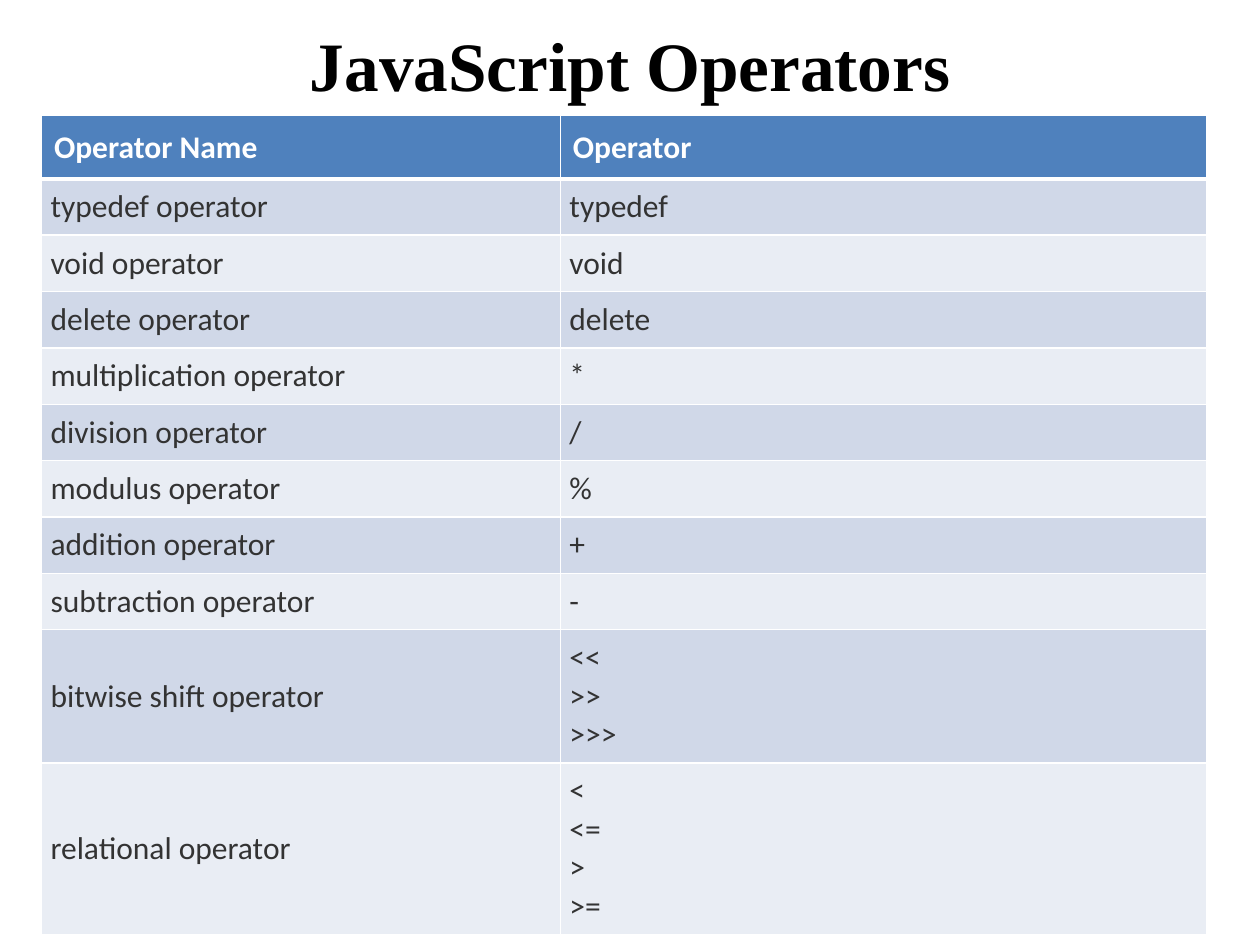
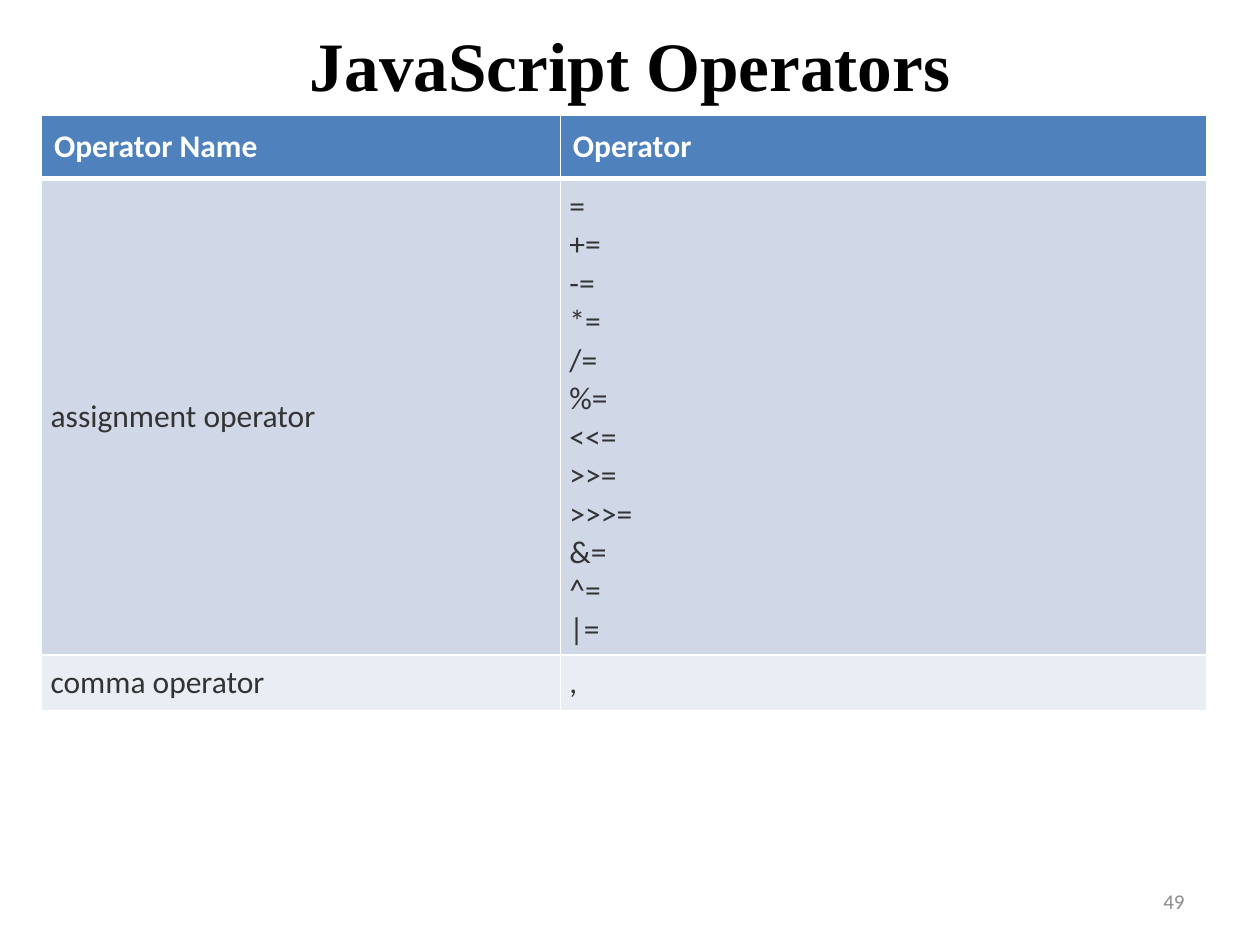
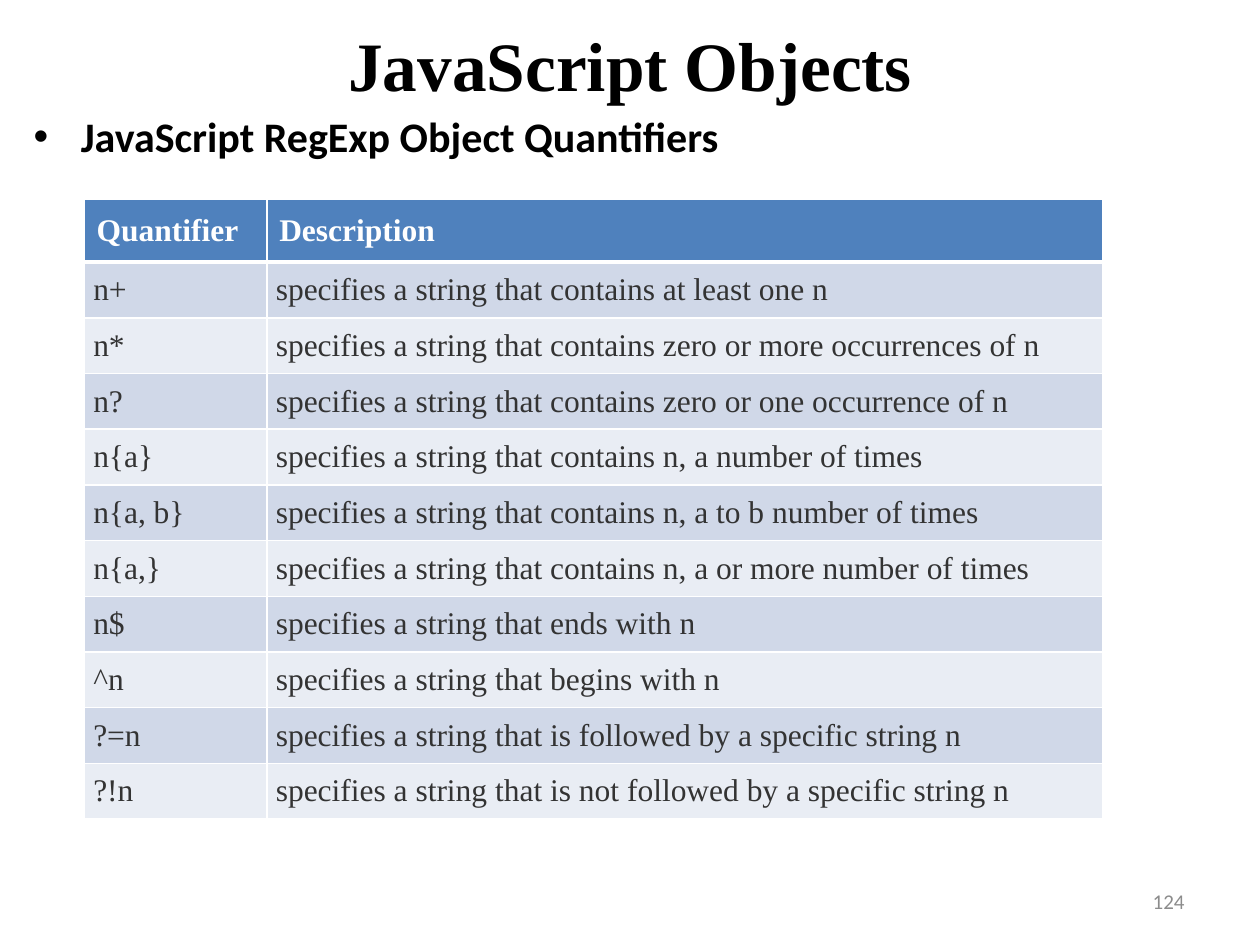
from lxml import etree
from pptx import Presentation
from pptx.dml.color import RGBColor
from pptx.enum.text import MSO_ANCHOR, MSO_AUTO_SIZE, PP_ALIGN
from pptx.oxml.ns import qn
from pptx.util import Cm, Pt

MIDDLE, TOP = MSO_ANCHOR.MIDDLE, MSO_ANCHOR.TOP
LEFT, CENTER, RIGHT = PP_ALIGN.LEFT, PP_ALIGN.CENTER, PP_ALIGN.RIGHT
NO_FIT = MSO_AUTO_SIZE.NONE

# Content: a list in a cell is shown one entry per line
OPERATOR_HEADS = ("Operator Name", "Operator")
OPERATOR_TABLE = {"font": "Calibri", "at": (0.84, 2.33), "columns": (10.46, 13.03)}
SLIDES = [
    {
        "title": "JavaScript Operators",
        "table": OPERATOR_TABLE,
        "rows": [
            OPERATOR_HEADS,
            ("typedef operator", "typedef"),
            ("void operator", "void"),
            ("delete operator", "delete"),
            ("multiplication operator", "*"),
            ("division operator", "/"),
            ("modulus operator", "%"),
            ("addition operator", "+"),
            ("subtraction operator", "-"),
            ("bitwise shift operator", ["<<", ">>", ">>>"]),
            ("relational operator", ["<", "<=", ">", ">="]),
        ],
    },
    {
        "title": "JavaScript Operators",
        "page": "49",
        "table": OPERATOR_TABLE,
        "rows": [
            OPERATOR_HEADS,
            ("assignment operator",
             ["=", "+=", "-=", "*=", "/=", "%=",
              "<<=", ">>=", ">>>=", "&=", "^=", "|="]),
            ("comma operator", ","),
        ],
    },
    {
        "title": "JavaScript Objects",
        "topic": "JavaScript RegExp Object Quantifiers",
        "page": "124",
        "table": {"font": "Times New Roman", "at": (1.7, 4.02), "columns": (3.68, 16.86)},
        "rows": [
            ("Quantifier", "Description"),
            ("n+", "specifies a string that contains at least one n"),
            ("n*", "specifies a string that contains zero or more occurrences of n"),
            ("n?", "specifies a string that contains zero or one occurrence of n"),
            ("n{a}", "specifies a string that contains n, a number of times"),
            ("n{a, b}", "specifies a string that contains n, a to b number of times"),
            ("n{a,}", "specifies a string that contains n, a or more number of times"),
            ("n$", "specifies a string that ends with n"),
            ("^n", "specifies a string that begins with n"),
            ("?=n", "specifies a string that is followed by a specific string n"),
            ("?!n", "specifies a string that is not followed by a specific string n"),
        ],
    },
]

# Shared look
COLORS = {
    "black": "000000", "white": "FFFFFF", "text": "333333", "page": "8C8C8C",
    "head": "4F81BD", "odd": "D0D8E8", "even": "E9EDF4",
}
TITLE_FONT = {"name": "Times New Roman", "size": Pt(39.6), "bold": True}
TOPIC_FONT = {"name": "Calibri", "size": Pt(24), "bold": True}
PAGE_FONT = {"name": "Calibri", "size": Pt(12)}
TITLE_AREA = (0.64, 0.43, 24.13, 1.7)
TOPIC_AREA = (0.43, 2.11, 24.56, 16.31)
PAGE_AREA = (18.21, 17.65, 5.92, 1.02)
LINE_HEIGHT = {"Calibri": 0.77, "Times New Roman": 0.71}
HEAD_INSET, BODY_INSET = 0.25, 0.18
THIN, THICK = Pt(1), Pt(3)


def set_all(target, values):
    for name, value in values.items():
        setattr(target, name, value)


def write(frame, text, font, color, align, anchor):
    set_all(frame, {"text": text, "vertical_anchor": anchor, "word_wrap": True})
    paragraph = frame.paragraphs[0]
    paragraph.alignment = align
    for run in paragraph.runs:
        set_all(run.font, font)
        run.font.color.rgb = RGBColor.from_string(COLORS[color])
    return paragraph


def add_title(slide, text):
    title = slide.shapes.title
    set_all(title, dict(zip(("left", "top", "width", "height"), map(Cm, TITLE_AREA))))
    write(title.text_frame, text, TITLE_FONT, "black", CENTER, MIDDLE)
    title.text_frame.auto_size = NO_FIT


def add_text(slide, area, *style):
    box = slide.shapes.add_textbox(*map(Cm, area))
    return write(box.text_frame, *style)


def add_bullet(paragraph):
    properties = paragraph._p.get_or_add_pPr()
    properties.set("marL", str(Cm(0.95)))
    properties.set("indent", str(-Cm(0.95)))
    etree.SubElement(properties, qn("a:buFont"), typeface="Arial")
    etree.SubElement(properties, qn("a:buChar"), char="•")


def set_borders(cell, top, bottom):
    properties = cell._tc.get_or_add_tcPr()
    for side, width in (("L", THIN), ("R", THIN), ("T", top), ("B", bottom)):
        line = etree.SubElement(properties, qn(f"a:ln{side}"), w=str(width))
        fill = etree.SubElement(line, qn("a:solidFill"))
        etree.SubElement(fill, qn("a:srgbClr"), val=COLORS["white"])


def add_table(slide, rows, font, at, columns):
    lines = [[entry if isinstance(entry, list) else [entry] for entry in row] for row in rows]
    insets = [HEAD_INSET] + [BODY_INSET] * (len(rows) - 1)
    heights = [2 * inset + max(map(len, row)) * LINE_HEIGHT[font]
               for inset, row in zip(insets, lines)]
    table = slide.shapes.add_table(
        len(rows), len(columns), *map(Cm, (*at, sum(columns), sum(heights)))).table
    for column, width in zip(table.columns, columns):
        column.width = Cm(width)

    for r, row in enumerate(lines):
        table.rows[r].height = Cm(heights[r])
        is_head = r == 0
        band = "head" if is_head else "odd" if r % 2 else "even"
        for c, entry in enumerate(row):
            cell = table.cell(r, c)
            margin = Cm(insets[r])
            set_all(cell, {f"margin_{side}": margin
                           for side in ("left", "top", "right", "bottom")})
            cell_font = {"name": font, "size": Pt(18), "bold": is_head}
            write(cell.text_frame, "\v".join(entry), cell_font,
                  "white" if is_head else "text", LEFT, TOP)
            cell.vertical_anchor = MIDDLE
            set_borders(cell, THICK if r == 1 else THIN, THICK if is_head else THIN)
            cell.fill.solid()
            cell.fill.fore_color.rgb = RGBColor.from_string(COLORS[band])


def main():
    deck = Presentation()
    deck.slide_width, deck.slide_height = Cm(25.4), Cm(19.05)
    title_only = deck.slide_layouts[5]
    for content in SLIDES:
        slide = deck.slides.add_slide(title_only)
        add_title(slide, content["title"])
        if "topic" in content:
            add_bullet(add_text(slide, TOPIC_AREA, content["topic"],
                                TOPIC_FONT, "black", LEFT, TOP))
        if "page" in content:
            add_text(slide, PAGE_AREA, content["page"], PAGE_FONT, "page", RIGHT, MIDDLE)
        add_table(slide, content["rows"], **content["table"])
    deck.save("out.pptx")


if __name__ == "__main__":
    main()
